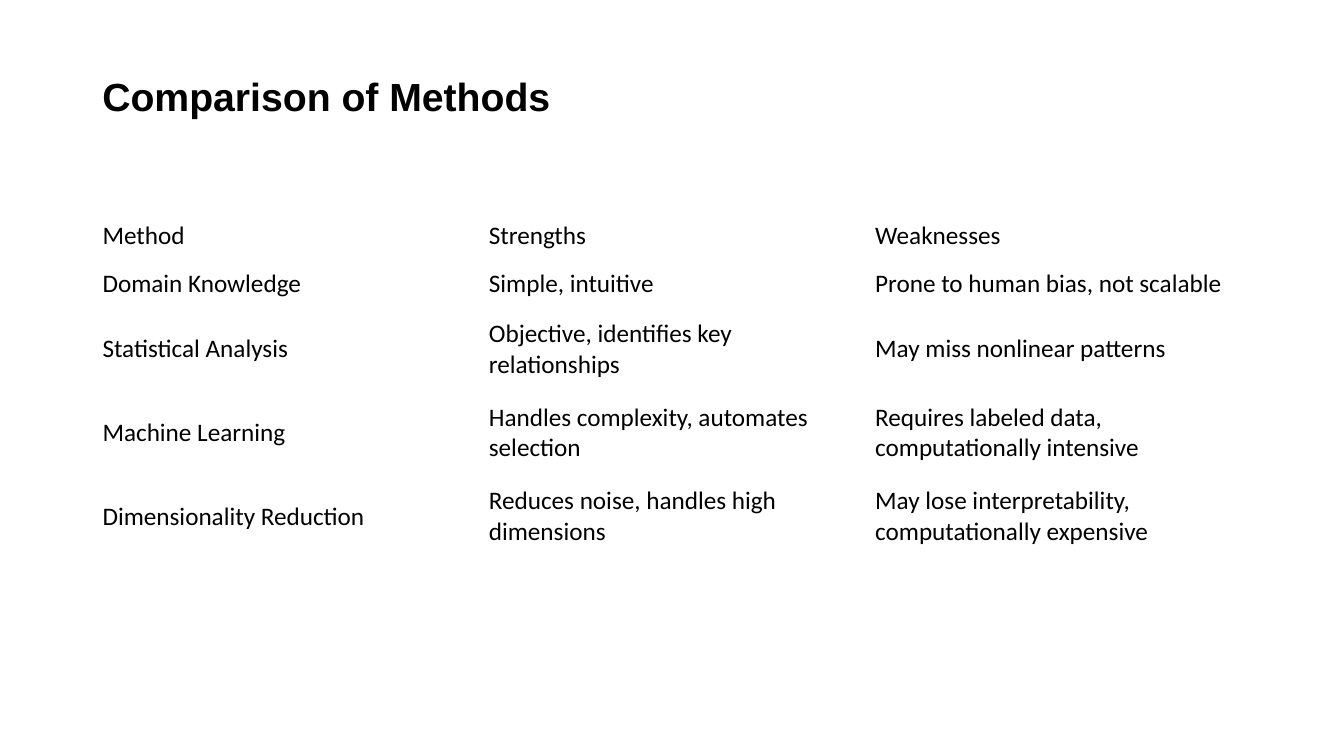
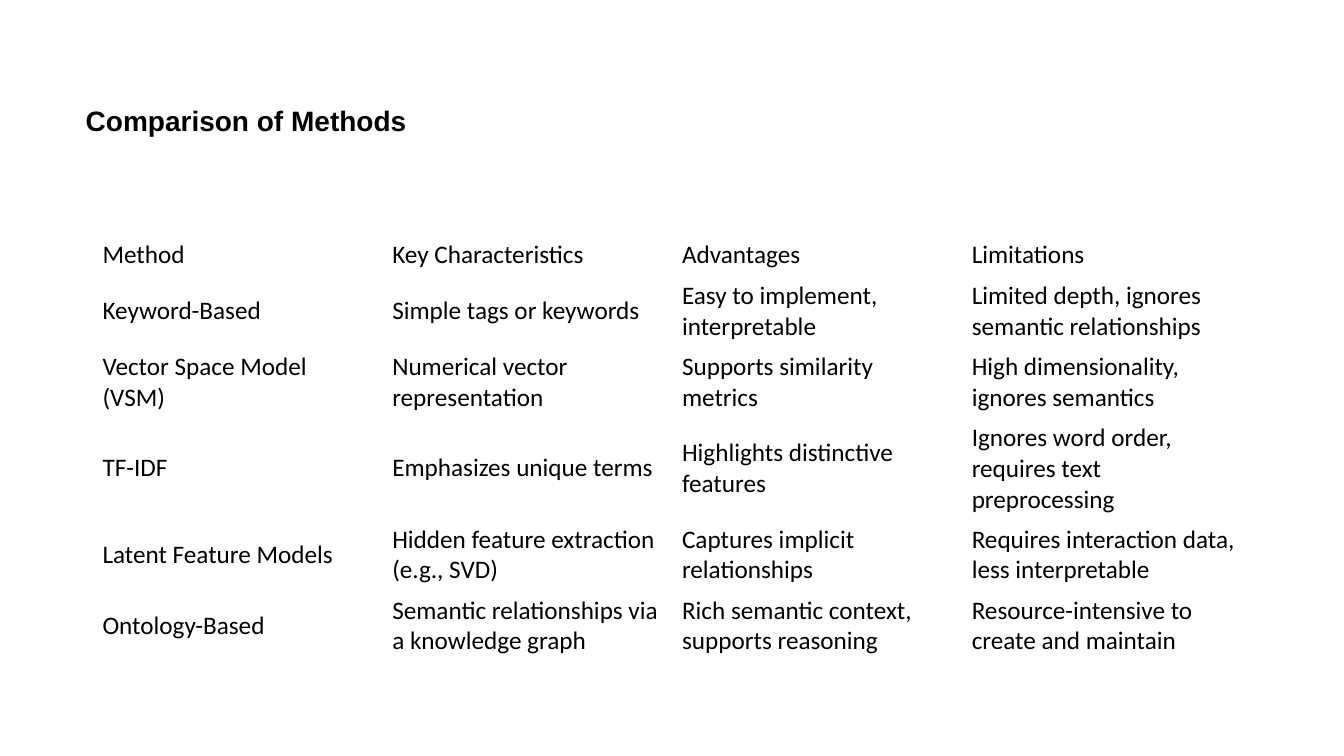
from dataclasses import dataclass

import pptx
import pptx.dml.color
import pptx.enum.text
import pptx.util
from pptx.util import Cm

# Shared style
INK = "000000"
PAPER = "FFFFFF"
TITLE_FONT = "Arial"
TABLE_FONT = "Calibri"
TABLE_SIZE = 18
TABLE_LEFT = 2.33
TABLE_WIDTH = 29.21


@dataclass(frozen=True)
class Title:
    """Heading with its box in centimetres and its size in points."""
    text: str
    left: float
    top: float
    width: float
    height: float
    size: int


@dataclass(frozen=True)
class Comparison:
    """Table rows, header first, with row heights in centimetres."""
    top: float
    row_heights: tuple[float, ...]
    rows: tuple[tuple[str, ...], ...]


# Content of each slide
SLIDES = (
    (
        Title("Comparison of Methods", 2.33, 1.68, 13.64, 1.45, 28),
        Comparison(5.36, (1.19, 1.19, 2.11, 2.11, 2.11), (
            ("Method", "Strengths", "Weaknesses"),
            ("Domain Knowledge", "Simple, intuitive",
             "Prone to human bias, not scalable"),
            ("Statistical Analysis", "Objective, identifies key relationships",
             "May miss nonlinear patterns"),
            ("Machine Learning", "Handles complexity, automates selection",
             "Requires labeled data, computationally intensive"),
            ("Dimensionality Reduction", "Reduces noise, handles high dimensions",
             "May lose interpretability, computationally expensive"),
        )),
    ),
    (
        Title("Comparison of Methods", 1.91, 2.46, 10.24, 1.12, 20),
        Comparison(5.92, (1.02, 1.79, 1.79, 2.56, 1.79, 1.79), (
            ("Method", "Key Characteristics", "Advantages", "Limitations"),
            ("Keyword-Based", "Simple tags or keywords",
             "Easy to implement, interpretable",
             "Limited depth, ignores semantic relationships"),
            ("Vector Space Model (VSM)", "Numerical vector representation",
             "Supports similarity metrics",
             "High dimensionality, ignores semantics"),
            ("TF-IDF", "Emphasizes unique terms",
             "Highlights distinctive features",
             "Ignores word order, requires text preprocessing"),
            ("Latent Feature Models", "Hidden feature extraction (e.g., SVD)",
             "Captures implicit relationships",
             "Requires interaction data, less interpretable"),
            ("Ontology-Based", "Semantic relationships via a knowledge graph",
             "Rich semantic context, supports reasoning",
             "Resource-intensive to create and maintain"),
        )),
    ),
)


def color(value: str) -> pptx.dml.color.RGBColor:
    return pptx.dml.color.RGBColor.from_string(value)


def write_text(text_frame, text: str, font_name: str, size: int, bold: bool = False) -> None:
    text_frame.text = text
    text_frame.word_wrap = True
    for run in text_frame.paragraphs[0].runs:
        run.font.name = font_name
        run.font.size = pptx.util.Pt(size)
        run.font.bold = bold
        run.font.color.rgb = color(INK)


def add_title(slide, title: Title) -> None:
    shape = slide.shapes.add_textbox(
        Cm(title.left), Cm(title.top), Cm(title.width), Cm(title.height))
    text_frame = shape.text_frame
    write_text(text_frame, title.text, TITLE_FONT, title.size, bold=True)
    text_frame.vertical_anchor = pptx.enum.text.MSO_ANCHOR.MIDDLE
    text_frame.auto_size = pptx.enum.text.MSO_AUTO_SIZE.SHAPE_TO_FIT_TEXT


def add_comparison(slide, comparison: Comparison) -> None:
    rows = comparison.rows
    table = slide.shapes.add_table(
        len(rows), len(rows[0]), Cm(TABLE_LEFT), Cm(comparison.top),
        Cm(TABLE_WIDTH), Cm(sum(comparison.row_heights))).table
    table.first_row = False
    table.horz_banding = False
    for row, height, texts in zip(table.rows, comparison.row_heights, rows):
        row.height = Cm(height)
        for cell, text in zip(row.cells, texts):
            cell.fill.background()
            cell.vertical_anchor = pptx.enum.text.MSO_ANCHOR.MIDDLE
            write_text(cell.text_frame, text, TABLE_FONT, TABLE_SIZE)


def main() -> None:
    presentation = pptx.Presentation()
    presentation.slide_width = Cm(33.87)
    presentation.slide_height = Cm(19.05)
    blank_layout = presentation.slide_layouts[6]
    for title, comparison in SLIDES:
        slide = presentation.slides.add_slide(blank_layout)
        slide.background.fill.solid()
        slide.background.fill.fore_color.rgb = color(PAPER)
        add_comparison(slide, comparison)
        add_title(slide, title)
    presentation.save("out.pptx")


if __name__ == "__main__":
    main()
